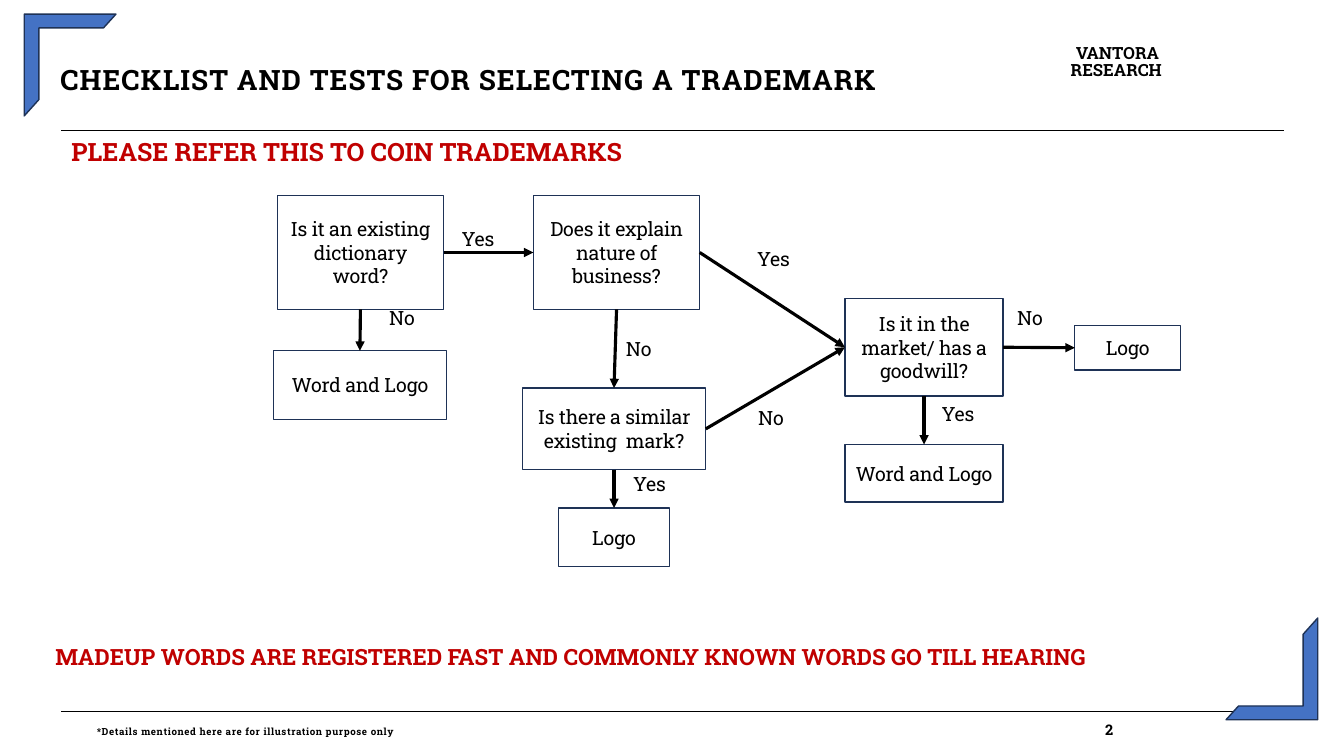
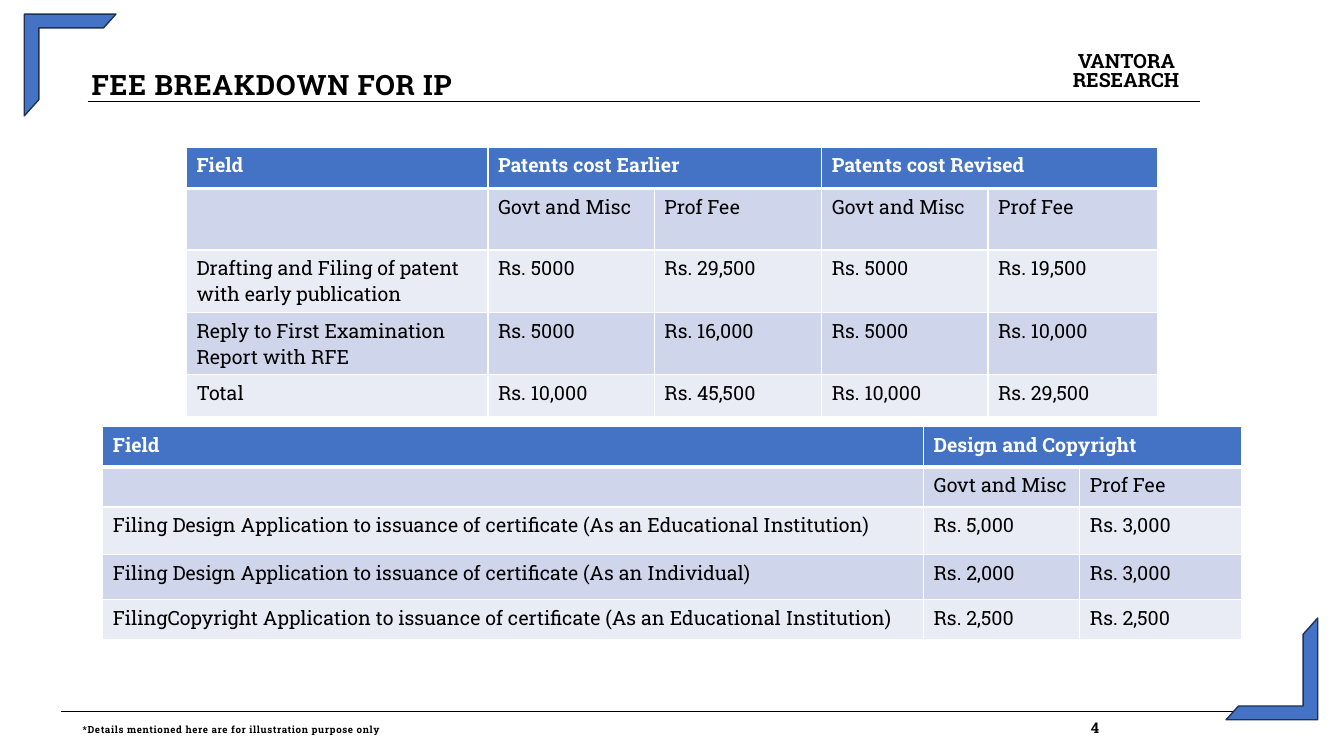
from lxml.etree import SubElement
from pptx import Presentation
from pptx.dml.color import RGBColor
from pptx.enum.shapes import MSO_CONNECTOR as Connector, MSO_SHAPE as Shape
from pptx.enum.text import MSO_ANCHOR as Anchor, PP_ALIGN as Align
from pptx.oxml.ns import qn
from pptx.util import Pt

PX = 9144  # EMU per px, 100 px to the inch
TOP, LEFT, BOTTOM, RIGHT = range(4)


def px(length):
    return length * PX


def color(hex_value):
    return RGBColor.from_string(hex_value)


def write(frame, text, size=14, ink="000000", bold=False, align=None, spacing=0,
          leading=None, indent=0, tab=0, tail="", tail_size=None):
    """Fill a text frame; indent moves the first line, tab places the tail."""
    for i, line in enumerate(text.split("\n")):
        para = frame.paragraphs[0] if i == 0 else frame.add_paragraph()
        para.alignment = align
        if leading:
            para.line_spacing = leading
        props = para._p.get_or_add_pPr()
        if indent and i == 0:
            props.set("marL", str(px(indent)))
        if tab:
            stops = SubElement(props, qn("a:tabLst"))
            SubElement(stops, qn("a:tab"), pos=str(px(tab)), algn="l")
        if not line:
            SubElement(para._p, qn("a:endParaRPr"), sz=str(size * 100))
            continue
        pieces = [(line, size)]
        if tail:
            pieces.append((tail, tail_size))
        for piece, points in pieces:
            run = para.add_run()
            run.text = piece
            run.font.name = Deck.FONT
            run.font.size = Pt(points)
            run.font.bold = bold
            run.font.color.rgb = color(ink)
            if spacing:
                run._r.get_or_add_rPr().set("spc", str(spacing))


class Deck:
    FONT = "Roboto Slab"
    BLUE, NAVY, RED = "4472C4", "1E3256", "C00000"
    BLACK, WHITE = "000000", "FFFFFF"
    BANDS = ("CFD5EA", "E9EBF5")

    def __init__(self):
        self.prs = Presentation()
        self.prs.slide_width, self.prs.slide_height = px(1333), px(750)
        self.slide = None

    def new_slide(self, title, title_at, title_spacing, rule, brand_at, brand_size,
                  footer_at, number):
        """Start a slide with its title, brand, rules, corners and footer."""
        self.slide = self.prs.slides.add_slide(self.prs.slide_layouts[6])
        self.text(*title_at, 902, 35, title, inset=False, size=20, bold=True,
                  spacing=title_spacing, leading=0.82)
        self.text(*brand_at, 120, 43, "VANTORA\nRESEARCH", inset=False, indent=5,
                  size=brand_size, bold=True, leading=0.84)
        self.rule(*rule)
        self.rule(61, 1273, 706)
        self.corner(24, 14)
        self.corner(1216, 613, rotation=180)
        self.text(*footer_at, 1192, 22,
                  "*Details mentioned here are for illustration purpose only\t",
                  inset=False, size=7, bold=True, spacing=45, leading=0.84,
                  tab=1000, tail=number, tail_size=10.5)

    def text(self, x, y, w, h, text, inset=True, **style):
        frame = self.slide.shapes.add_textbox(px(x), px(y), px(w), px(h)).text_frame
        frame.word_wrap = True
        if not inset:
            frame.margin_left = frame.margin_right = 0
            frame.margin_top = frame.margin_bottom = 0
        write(frame, text, **style)

    def shape(self, kind, x, y, w, h, fill=None):
        shape = self.slide.shapes.add_shape(kind, px(x), px(y), px(w), px(h))
        shape.shadow.inherit = False
        if fill:
            shape.fill.solid()
            shape.fill.fore_color.rgb = color(fill)
        else:
            shape.fill.background()
        shape.line.color.rgb = color(self.NAVY)
        shape.line.width = Pt(1)
        return shape

    def corner(self, x, y, rotation=0):
        frame = self.shape(Shape.HALF_FRAME, x, y, 91, 101, self.BLUE)
        frame.adjustments[0], frame.adjustments[1] = 0.15, 0.16
        frame.rotation = rotation

    def node(self, x, y, w, h, text):
        box = self.shape(Shape.RECTANGLE, x, y, w, h)
        box.text_frame.word_wrap = True
        box.text_frame.vertical_anchor = Anchor.MIDDLE
        write(box.text_frame, text, align=Align.CENTER, spacing=-20)
        return box

    def line(self, x1, y1, x2, y2, width):
        line = self.slide.shapes.add_connector(
            Connector.STRAIGHT, px(x1), px(y1), px(x2), px(y2))
        line.line.color.rgb = color(self.BLACK)
        line.line.width = Pt(width)
        SubElement(line._element.spPr, qn("a:effectLst"))
        return line

    def rule(self, x1, x2, y):
        self.line(x1, y, x2, y, 0.48)

    def arrow(self, start, start_side, end, end_side):
        arrow = self.line(0, 0, 0, 0, 2.25)
        arrow.begin_connect(start, start_side)
        arrow.end_connect(end, end_side)
        SubElement(arrow.line._get_or_add_ln(), qn("a:tailEnd"), type="triangle")

    def table(self, x, y, widths, heights, headers, body):
        """Headers are (text, column span) pairs; body rows are banded."""
        table = self.slide.shapes.add_table(
            len(heights), len(widths), px(x), px(y),
            px(sum(widths)), px(sum(heights))).table
        for column, width in zip(table.columns, widths):
            column.width = px(width)
        for row, height in zip(table.rows, heights):
            row.height = px(height)
        head = [text for name, span in headers for text in [name] + [""] * (span - 1)]
        for r, row in enumerate([head] + body):
            for c, text in enumerate(row):
                self.cell(table.cell(r, c), text, r)
        column = 0
        for _, span in headers:
            if span > 1:
                table.cell(0, column).merge(table.cell(0, column + span - 1))
            column += span

    def cell(self, cell, text, row):
        is_head = row == 0
        write(cell.text_frame, text, bold=is_head,
              ink=self.WHITE if is_head else self.BLACK)
        props = cell._tc.get_or_add_tcPr()
        for side in ("lnL", "lnR", "lnT", "lnB"):
            thick = (is_head and side == "lnB") or (row == 1 and side == "lnT")
            border = SubElement(props, qn("a:" + side), w=str(Pt(3 if thick else 1)))
            paint = SubElement(border, qn("a:solidFill"))
            SubElement(paint, qn("a:srgbClr"), val=self.WHITE)
        cell.fill.solid()
        cell.fill.fore_color.rgb = color(
            self.BLUE if is_head else self.BANDS[(row - 1) % 2])


def trademark_slide(deck):
    deck.new_slide("CHECKLIST AND TESTS FOR SELECTING A TRADEMARK", (60, 68), 70,
                   (61, 1273, 129), (1062, 46), 12, (96, 718), "2")
    deck.text(61, 130, 822, 40, "PLEASE REFER THIS TO COIN TRADEMARKS",
              size=18, ink=deck.RED, bold=True)
    deck.text(45, 633, 1228, 37,
              "MADEUP WORDS ARE REGISTERED FAST AND COMMONLY KNOWN WORDS GO TILL HEARING",
              size=16, ink=deck.RED, bold=True)

    # Questions and outcomes
    dictionary = deck.node(275, 194, 165, 113, "Is it an existing\ndictionary word?")
    business = deck.node(529, 194, 165, 113, "Does it explain nature of business?")
    similar = deck.node(518, 385, 182, 81, "Is there a similar existing  mark?")
    market = deck.node(838, 296, 157, 97, "Is it in the market/ has a goodwill?")
    made_up = deck.node(271, 348, 172, 68, "Word and Logo")
    similar_logo = deck.node(554, 504, 110, 58, "Logo")
    goodwill = deck.node(838, 441, 157, 57, "Word and Logo")
    market_logo = deck.node(1066, 323, 105, 44, "Logo")

    # Answers: arrow ends, then the label and its place
    for start, start_side, end, end_side, answer, x, y in (
        (dictionary, RIGHT, business, LEFT, "Yes", 448, 220),
        (dictionary, BOTTOM, made_up, TOP, "No", 376, 299),
        (business, RIGHT, market, LEFT, "Yes", 741, 240),
        (business, BOTTOM, similar, TOP, "No", 611, 329),
        (similar, RIGHT, market, LEFT, "No", 742, 398),
        (similar, BOTTOM, similar_logo, TOP, "Yes", 618, 463),
        (market, RIGHT, market_logo, LEFT, "No", 999, 299),
        (market, BOTTOM, goodwill, TOP, "Yes", 924, 394),
    ):
        deck.arrow(start, start_side, end, end_side)
        deck.text(x, y, 72, 34, answer, spacing=-20)


def fee_slide(deck):
    deck.new_slide("FEE BREAKDOWN FOR IP", (91, 73), 50, (87, 1190, 101),
                   (1064, 52), 14, (82, 716), "4")
    kinds = ["Govt and Misc", "Prof Fee"]

    # Patent fees
    deck.table(
        185, 146, [299, 165, 166, 165, 168], [41, 61, 62, 62, 41],
        [("Field", 1), ("Patents cost Earlier", 2), ("Patents cost Revised", 2)],
        [[""] + kinds * 2,
         ["Drafting and Filing of patent with early publication",
          "Rs. 5000", "Rs. 29,500", "Rs. 5000", "Rs. 19,500"],
         ["Reply to First Examination\nReport with RFE",
          "Rs. 5000", "Rs. 16,000", "Rs. 5000", "Rs. 10,000"],
         ["Total", "Rs. 10,000", "Rs. 45,500", "Rs. 10,000", "Rs. 29,500"]])

    # Design and copyright fees
    filing = "Application to issuance of certificate (As an"
    deck.table(
        102, 423, [814, 155, 160], [40, 40, 47, 45, 40],
        [("Field", 1), ("Design and Copyright", 2)],
        [[""] + kinds,
         [f"Filing Design {filing} Educational Institution)", "Rs. 5,000", "Rs. 3,000"],
         [f"Filing Design {filing} Individual)", "Rs. 2,000", "Rs. 3,000"],
         [f"FilingCopyright {filing} Educational Institution)", "Rs. 2,500", "Rs. 2,500"]])


def main():
    deck = Deck()
    trademark_slide(deck)
    fee_slide(deck)
    deck.prs.save("out.pptx")


if __name__ == "__main__":
    main()
